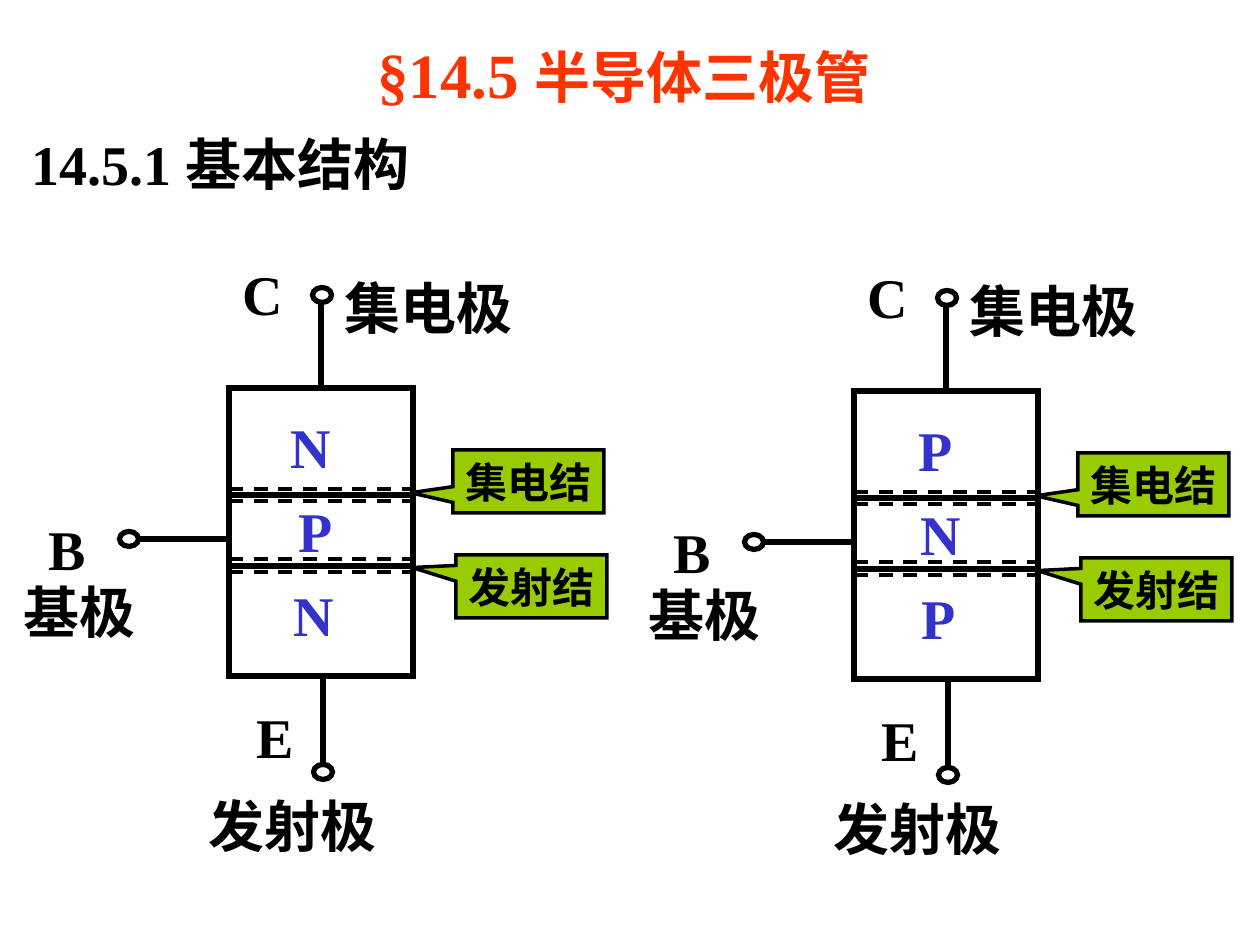
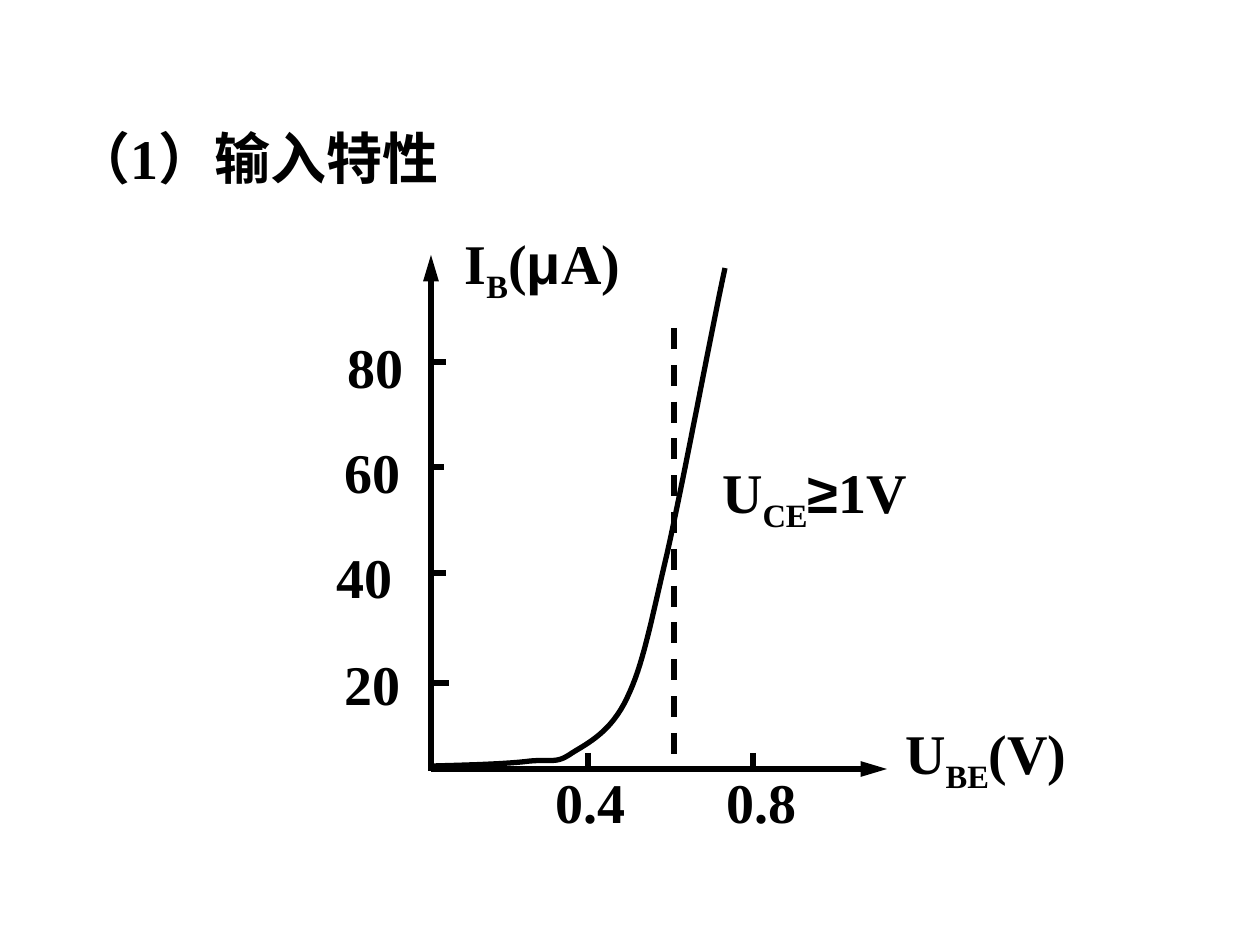
from pptx import Presentation
from pptx.dml.color import RGBColor
from pptx.enum.dml import MSO_LINE
from pptx.enum.shapes import MSO_CONNECTOR, MSO_SHAPE
from pptx.enum.text import MSO_ANCHOR, MSO_AUTO_SIZE, PP_ALIGN
from pptx.oxml.ns import qn
from pptx.util import Emu, Pt
from lxml import etree

STRAIGHT = MSO_CONNECTOR.STRAIGHT
RECTANGLE, OVAL, CALLOUT = MSO_SHAPE.RECTANGLE, MSO_SHAPE.OVAL, MSO_SHAPE.RECTANGULAR_CALLOUT
LEFT, CENTER = PP_ALIGN.LEFT, PP_ALIGN.CENTER
TOP, MIDDLE = MSO_ANCHOR.TOP, MSO_ANCHOR.MIDDLE
DASH = MSO_LINE.DASH
FIT = MSO_AUTO_SIZE.SHAPE_TO_FIT_TEXT
EMU_PER_PX = 914400 / 126


class Theme:
    ink = RGBColor.from_string("000000")
    title = RGBColor.from_string("FF3300")
    region = RGBColor.from_string("3333CC")
    callout = RGBColor.from_string("99CC00")
    font = "Times New Roman"
    symbol_font = "Arial"
    title_size, body_size, callout_size = 36, 32, 24
    heavy, medium = 3, 2


TITLE = [("§14.5 ", {}), ("半导体三极管", {"size": Theme.body_size})]
TITLE_BOX = (365, 29, 654, 88)
STRUCTURE_HEADING = ("14.5.1 基本结构", (19, 123, 425, 81))
INPUT_HEADING = ("（1）输入特性", (41, 117, 432, 81))

TRANSISTORS = [((0, 0), "NPN"), ((625, 3), "PNP")]
BODY_LEFT, BODY_WIDTH = 229, 184
LAYER_EDGES = [388, 495, 566, 676]
REGION_BOXES = [(278, 406, 66, 81), (283, 490, 66, 81), (281, 574, 66, 81)]
LEADS = [((323, 678), (323, 764)), ((321, 388), (321, 302)), ((231, 539), (136, 539))]
TERMINALS = [(323, 772), (322, 295), (129, 539)]
TERMINAL_WIDTH, TERMINAL_HEIGHT = 19, 15
ELECTRODE_LABELS = [
    ("B", (36, 508, 62, 81)),
    ("E", (244, 696, 62, 81)),
    ("C", (230, 253, 66, 81)),
    ("基极", (11, 571, 137, 81)),
    ("发射极", (196, 785, 193, 81)),
    ("集电极", (332, 267, 193, 81)),
]
DEPLETION_LINES = [489, 501, 559, 572]
JUNCTIONS = [
    ("发射结", (456, 555, 151, 63), (-0.79, -0.3)),
    ("集电结", (453, 450, 151, 63), (-0.78, 0.18)),
]

ORIGIN_X, ORIGIN_Y = 431, 769
AXES = [((ORIGIN_X, 771), (ORIGIN_X, 255)), ((ORIGIN_X, ORIGIN_Y), (887, ORIGIN_Y))]
CURRENT_TICKS = [("20", 683, 449, (332, 643)), ("40", 573, 446, (324, 536)),
                 ("60", 467, 444, (332, 431)), ("80", 362, 446, (335, 326))]
VOLTAGE_TICKS = [("0.4", 588, 543), ("0.8", 753, 714)]
SUBSCRIPT = {"baseline": -25000}
SYMBOL = {"font": Theme.symbol_font}
QUANTITIES = [
    ([("I", {}), ("B", SUBSCRIPT), ("(", {}), ("μ", SYMBOL), ("A)", {})], (448, 222, 189, 89)),
    ([("U", {}), ("BE", SUBSCRIPT), ("(V)", {})], (887, 712, 198, 89)),
    ([("U", {}), ("CE", SUBSCRIPT), ("≥", SYMBOL), ("1V", {})], (699, 451, 231, 89)),
]
CURVE_START = (431, 766)
CURVE_SEGMENTS = [
    ((469, 765), (507, 764), (530, 761)),
    ((554, 759), (556, 764), (572, 753)),
    ((588, 743), (611, 732), (627, 698)),
    ((643, 665), (650, 626), (667, 554)),
    ((683, 483), (712, 328), (725, 268)),
]
CURVE_STEPS = 16
WORKING_LINE = ((674, 328), (674, ORIGIN_Y))


def px(length):
    return Emu(round(length * EMU_PER_PX))


def shift(place, offset):
    return (place[0] + offset[0], place[1] + offset[1], *place[2:])


def write(shape, content, size=Theme.body_size, color=Theme.ink, align=CENTER,
          anchor=MIDDLE, wrap=False):
    frame = shape.text_frame
    frame.word_wrap, frame.auto_size, frame.vertical_anchor = wrap, FIT, anchor
    para = frame.paragraphs[0]
    para.alignment = align
    para.font.name, para.font.size, para.font.bold = Theme.font, Pt(size), True
    para.font.color.rgb = color
    for text, style in [(content, {})] if isinstance(content, str) else content:
        span = para.add_run()
        span.text = text
        if "size" in style:
            span.font.size = Pt(style["size"])
        if "font" in style:
            span.font.name = style["font"]
        if "baseline" in style:
            span._r.get_or_add_rPr().set("baseline", str(style["baseline"]))


def add_text(page, content, place, **style):
    box = page.shapes.add_textbox(*map(px, place))
    write(box, content, **style)


def outline(shape, width=Theme.heavy):
    shape.shadow.inherit = False
    shape.fill.background()
    shape.line.color.rgb = Theme.ink
    shape.line.width = Pt(width)
    etree.SubElement(shape._element.spPr.find(qn("a:ln")), qn("a:miter"), lim="800000")


def add_outlined(page, kind, place, width=Theme.heavy):
    shape = page.shapes.add_shape(kind, *map(px, place))
    outline(shape, width)
    return shape


def add_line(page, start, end, width=Theme.heavy, dashed=False, arrow=False):
    connector = page.shapes.add_connector(STRAIGHT, *map(px, (*start, *end)))
    connector.line.color.rgb = Theme.ink
    connector.line.width = Pt(width)
    if dashed:
        connector.line.dash_style = DASH
    properties = connector._element.spPr
    if arrow:
        etree.SubElement(properties.find(qn("a:ln")), qn("a:tailEnd"),
                         type="triangle", w="med", len="lg")
    etree.SubElement(properties, qn("a:effectLst"))


def add_transistor(page, offset, layers):
    for top, bottom in zip(LAYER_EDGES, LAYER_EDGES[1:]):
        add_outlined(page, RECTANGLE, shift((BODY_LEFT, top, BODY_WIDTH, bottom - top), offset))
    for start, end in LEADS:
        add_line(page, shift(start, offset), shift(end, offset))
    for x, y in TERMINALS:
        place = (x - TERMINAL_WIDTH / 2, y - TERMINAL_HEIGHT / 2, TERMINAL_WIDTH, TERMINAL_HEIGHT)
        add_outlined(page, OVAL, shift(place, offset))
    for label, place in ELECTRODE_LABELS:
        add_text(page, label, shift(place, offset))
    for layer, place in zip(layers, REGION_BOXES):
        add_text(page, layer, shift(place, offset), color=Theme.region)
    for y in DEPLETION_LINES:
        add_line(page, shift((BODY_LEFT, y), offset), shift((BODY_LEFT + BODY_WIDTH, y), offset),
                 Theme.medium, dashed=True)
    for label, place, pointer in JUNCTIONS:
        callout = add_outlined(page, CALLOUT, shift(place, offset), Theme.medium)
        callout.fill.solid()
        callout.fill.fore_color.rgb = Theme.callout
        callout.adjustments[0], callout.adjustments[1] = pointer
        write(callout, label, size=Theme.callout_size, align=LEFT)


def bezier(start, first, second, end, t):
    weights = ((1 - t) ** 3, 3 * t * (1 - t) ** 2, 3 * t ** 2 * (1 - t), t ** 3)
    return tuple(sum(w * v for w, v in zip(weights, values))
                 for values in zip(start, first, second, end))


def add_curve(page):
    start, points = CURVE_START, []
    for segment in CURVE_SEGMENTS:
        points += [bezier(start, *segment, step / CURVE_STEPS)
                   for step in range(1, CURVE_STEPS + 1)]
        start = segment[-1]
    builder = page.shapes.build_freeform(*map(px, CURVE_START))
    builder.add_line_segments([(px(x), px(y)) for x, y in points], close=False)
    outline(builder.convert_to_shape())


def build_structure(page):
    add_text(page, TITLE, TITLE_BOX, size=Theme.title_size, color=Theme.title,
             align=LEFT, anchor=TOP, wrap=True)
    for offset, layers in TRANSISTORS:
        add_transistor(page, offset, layers)
    add_text(page, *STRUCTURE_HEADING, align=LEFT)


def build_input_characteristic(page):
    add_text(page, *INPUT_HEADING)
    for start, end in AXES:
        add_line(page, start, end, arrow=True)
    for label, y, right, corner in CURRENT_TICKS:
        add_line(page, (right, y), (ORIGIN_X, y))
        add_text(page, label, (*corner, 81, 81))
    for label, x, left in VOLTAGE_TICKS:
        add_line(page, (x, 753), (x, ORIGIN_Y))
        add_text(page, label, (left, 761, 95, 81))
    for content, place in QUANTITIES:
        add_text(page, content, place)
    add_curve(page)
    add_line(page, *WORKING_LINE, dashed=True)


def main():
    deck = Presentation()
    deck.slide_width, deck.slide_height = px(1260), px(945)
    for build in (build_structure, build_input_characteristic):
        build(deck.slides.add_slide(deck.slide_layouts[6]))
    deck.save("out.pptx")


if __name__ == "__main__":
    main()
